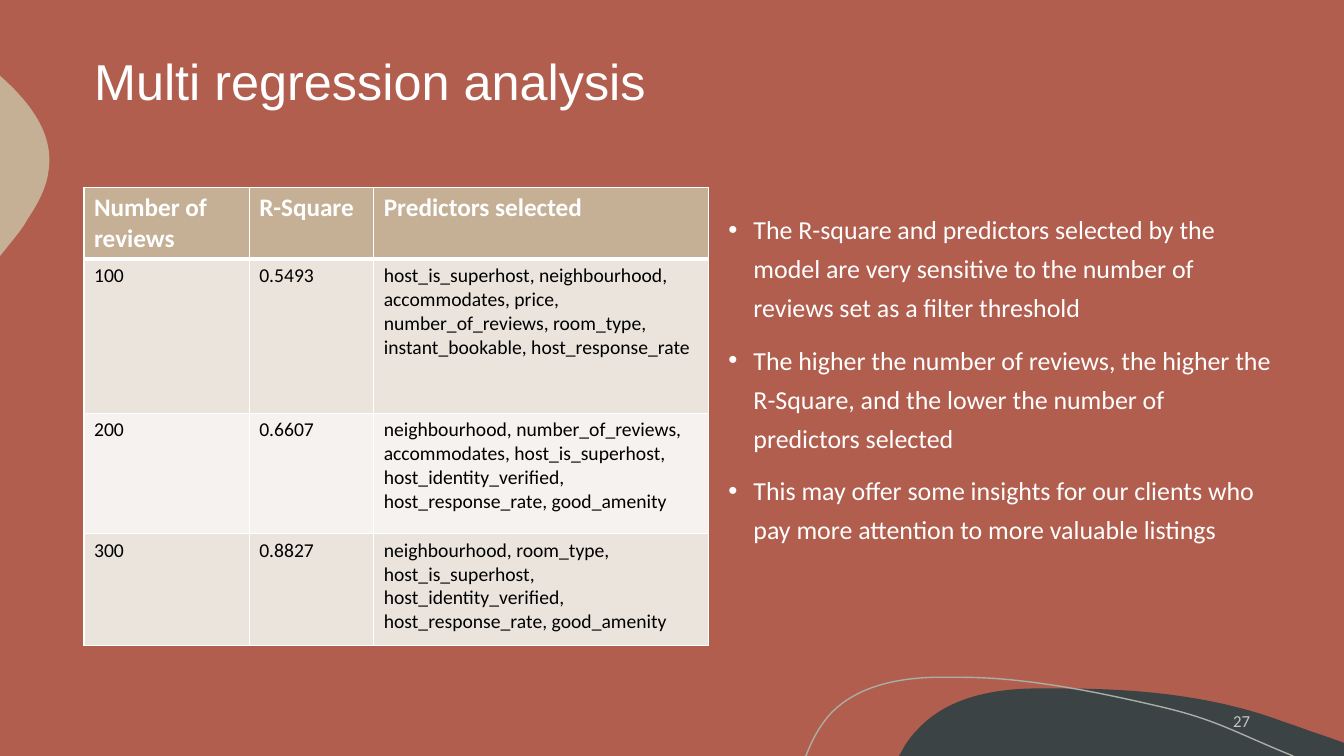
from lxml.etree import SubElement
from pptx import Presentation
from pptx.dml.color import RGBColor
from pptx.enum.text import MSO_ANCHOR, MSO_AUTO_SIZE, PP_ALIGN
from pptx.oxml.ns import qn
from pptx.util import Pt

RUST = RGBColor(0xB1, 0x5E, 0x4E)
SAND = RGBColor(0xC5, 0xB0, 0x96)
SLATE = RGBColor(0x3B, 0x43, 0x45)
SAGE = RGBColor(0xA9, 0xAE, 0xA7)
WHITE = RGBColor(0xFF, 0xFF, 0xFF)
BLACK = RGBColor(0x00, 0x00, 0x00)
BAND_DARK = RGBColor(0xEA, 0xE4, 0xDD)
BAND_LIGHT = RGBColor(0xF5, 0xF2, 0xEF)

# Outlines in points: one point is a line, three are a Bezier curve
SLATE_HILL = [
    [(758.9, 491.8)],
    [(812.2, 491.8), (866.9, 496.8), (916.6, 515.5)],
    [(925.9, 518.4), (934.6, 522), (943.9, 524.9)],
    [(960, 530.6)], [(960, 540)], [(642.2, 540)], [(646.6, 532.1)],
    [(649.4, 527.8), (652.3, 524.2), (655.9, 520.6)],
    [(676.1, 499), (707, 492.5), (736.6, 491.8)],
    [(743.8, 491.8), (751, 491.8), (758.9, 491.8)],
]
SAND_BULGE = [
    [(0, 54)], [(0.7, 54.7)],
    [(21.6, 73.4), (38.9, 95.8), (34.6, 122.4)],
    [(33.1, 134.6), (26.6, 146.2), (19.4, 157)],
    [(17.3, 161.3), (12.2, 167.8), (5.8, 175.7)],
    [(0, 182.9)],
]
SAGE_CURVE = [
    [(575.3, 540)], [(576, 539.3)],
    [(580.3, 527.8), (586.1, 517.7), (593.3, 509.8)],
    [(612, 490.3), (640.1, 484.6), (666.7, 483.8)],
    [(687.6, 483.8)],
    [(735.8, 483.8), (792, 496.1), (831.6, 505.4)],
    [(870.5, 514.8), (882.7, 523.4), (923.8, 540)],
]

REGRESSIONS = [
    ("Number of reviews", "R-Square", "Predictors selected"),
    ("100", "0.5493",
     "host_is_superhost, neighbourhood, accommodates, price, number_of_reviews, "
     "room_type, instant_bookable, host_response_rate"),
    ("200", "0.6607",
     "neighbourhood, number_of_reviews, accommodates, host_is_superhost, "
     "host_identity_verified, host_response_rate, good_amenity"),
    ("300", "0.8827",
     "neighbourhood, room_type, host_is_superhost, host_identity_verified, "
     "host_response_rate, good_amenity"),
]
COLUMN_WIDTHS = [118, 89, 239]
ROW_HEIGHTS = [46, 110, 86, 80]
FINDINGS = [
    "The R-square and predictors selected by the model are very sensitive to "
    "the number of reviews set as a filter threshold",
    "The higher the number of reviews, the higher the R-Square, and the lower "
    "the number of predictors selected",
    "This may offer some insights for our clients who pay more attention to "
    "more valuable listings",
]


def place(shape, left, top, width, height):
    shape.left, shape.top = Pt(left), Pt(top)
    shape.width, shape.height = Pt(width), Pt(height)


def add_run(paragraph, text, size, color=WHITE, font="Calibri", bold=False):
    run = paragraph.add_run()
    run.text = text
    run.font.name = font
    run.font.size = Pt(size)
    run.font.bold = bold
    run.font.color.rgb = color
    return run


def bend(shape, segments):
    """Turn the straight segments that have control points into curves."""
    lines = list(shape.element.iter(qn("a:lnTo")))
    for line, segment in zip(lines, segments):
        if len(segment) == 3:
            line.tag = qn("a:cubicBezTo")
            curve = SubElement(line.getparent(), qn("a:cubicBezTo"))
            for x, y in segment:
                SubElement(curve, qn("a:pt"), x=str(Pt(x) - shape.left),
                           y=str(Pt(y) - shape.top))
            line.getparent().replace(line, curve)


def add_outline(slide, outline, fill=None, line=None):
    start, *ends = [(Pt(x), Pt(y)) for x, y in (segment[-1] for segment in outline)]
    builder = slide.shapes.build_freeform(*start)
    builder.add_line_segments(ends, close=fill is not None)
    shape = builder.convert_to_shape()
    bend(shape, outline[1:])
    shape.shadow.inherit = False
    if fill is None:
        shape.fill.background()
        shape.line.color.rgb = line
        shape.line.width = Pt(1)
    else:
        shape.fill.solid()
        shape.fill.fore_color.rgb = fill
        shape.line.fill.background()


def add_title(slide, text):
    title = slide.shapes.title
    place(title, 60, 0, 840, 120)
    frame = title.text_frame
    frame.auto_size = MSO_AUTO_SIZE.NONE
    frame.vertical_anchor = MSO_ANCHOR.MIDDLE
    paragraph = frame.paragraphs[0]
    paragraph.alignment = PP_ALIGN.LEFT
    paragraph.line_spacing = 0.9
    add_run(paragraph, text, 36, font="Arial")


def add_findings(slide, findings):
    body = slide.placeholders[1]
    place(body, 513, 143.5, 405.5, 300)
    frame = body.text_frame
    frame.auto_size = MSO_AUTO_SIZE.NONE
    frame.vertical_anchor = MSO_ANCHOR.TOP
    for index, finding in enumerate(findings):
        paragraph = frame.add_paragraph() if index else frame.paragraphs[0]
        properties = paragraph._p.get_or_add_pPr()
        properties.set("marL", str(Pt(18)))
        properties.set("indent", str(Pt(-18)))
        SubElement(properties, qn("a:buFont"), typeface="Arial")
        SubElement(properties, qn("a:buChar"), char="•")
        paragraph.line_spacing = 1.25
        paragraph.space_before = Pt(10 if index else 0)
        add_run(paragraph, finding, 18.5)


def add_borders(cell, top, bottom):
    properties = cell._tc.get_or_add_tcPr()
    for side, width in (("L", 1), ("R", 1), ("T", top), ("B", bottom)):
        border = SubElement(properties, qn(f"a:ln{side}"), w=str(Pt(width)))
        fill = SubElement(border, qn("a:solidFill"))
        SubElement(fill, qn("a:srgbClr"), val=str(WHITE))


def add_regression_table(slide, rows):
    frame = slide.shapes.add_table(len(rows), len(COLUMN_WIDTHS), Pt(60), Pt(134),
                                   Pt(sum(COLUMN_WIDTHS)), Pt(sum(ROW_HEIGHTS)))
    table = frame.table
    for column, width in zip(table.columns, COLUMN_WIDTHS):
        column.width = Pt(width)
    for r, (texts, height) in enumerate(zip(rows, ROW_HEIGHTS)):
        table.rows[r].height = Pt(height)
        header = r == 0
        band = SAND if header else BAND_DARK if r % 2 else BAND_LIGHT
        for c, text in enumerate(texts):
            cell = table.cell(r, c)
            add_borders(cell, top=3 if r == 1 else 1, bottom=3 if header else 1)
            cell.fill.solid()
            cell.fill.fore_color.rgb = band
            add_run(cell.text_frame.paragraphs[0], text, 18 if header else 14,
                    WHITE if header else BLACK, bold=header)


def add_page_number(slide, number):
    box = slide.shapes.add_textbox(Pt(780), Pt(500.5), Pt(120), Pt(28.5))
    frame = box.text_frame
    frame.word_wrap = True
    frame.vertical_anchor = MSO_ANCHOR.MIDDLE
    paragraph = frame.paragraphs[0]
    paragraph.alignment = PP_ALIGN.RIGHT
    run = add_run(paragraph, number, 12)
    color = run._r.find(".//" + qn("a:srgbClr"))
    SubElement(color, qn("a:alpha"), val="70000")


def main():
    deck = Presentation()
    deck.slide_width, deck.slide_height = Pt(960), Pt(540)
    slide = deck.slides.add_slide(deck.slide_layouts[1])
    slide.background.fill.solid()
    slide.background.fill.fore_color.rgb = RUST

    # Decorative outlines
    add_outline(slide, SLATE_HILL, fill=SLATE)
    add_outline(slide, SAND_BULGE, fill=SAND)
    add_outline(slide, SAGE_CURVE, line=SAGE)

    # Content
    add_title(slide, "Multi regression analysis")
    add_findings(slide, FINDINGS)
    add_regression_table(slide, REGRESSIONS)
    add_page_number(slide, "27")
    deck.save("out.pptx")


if __name__ == "__main__":
    main()
